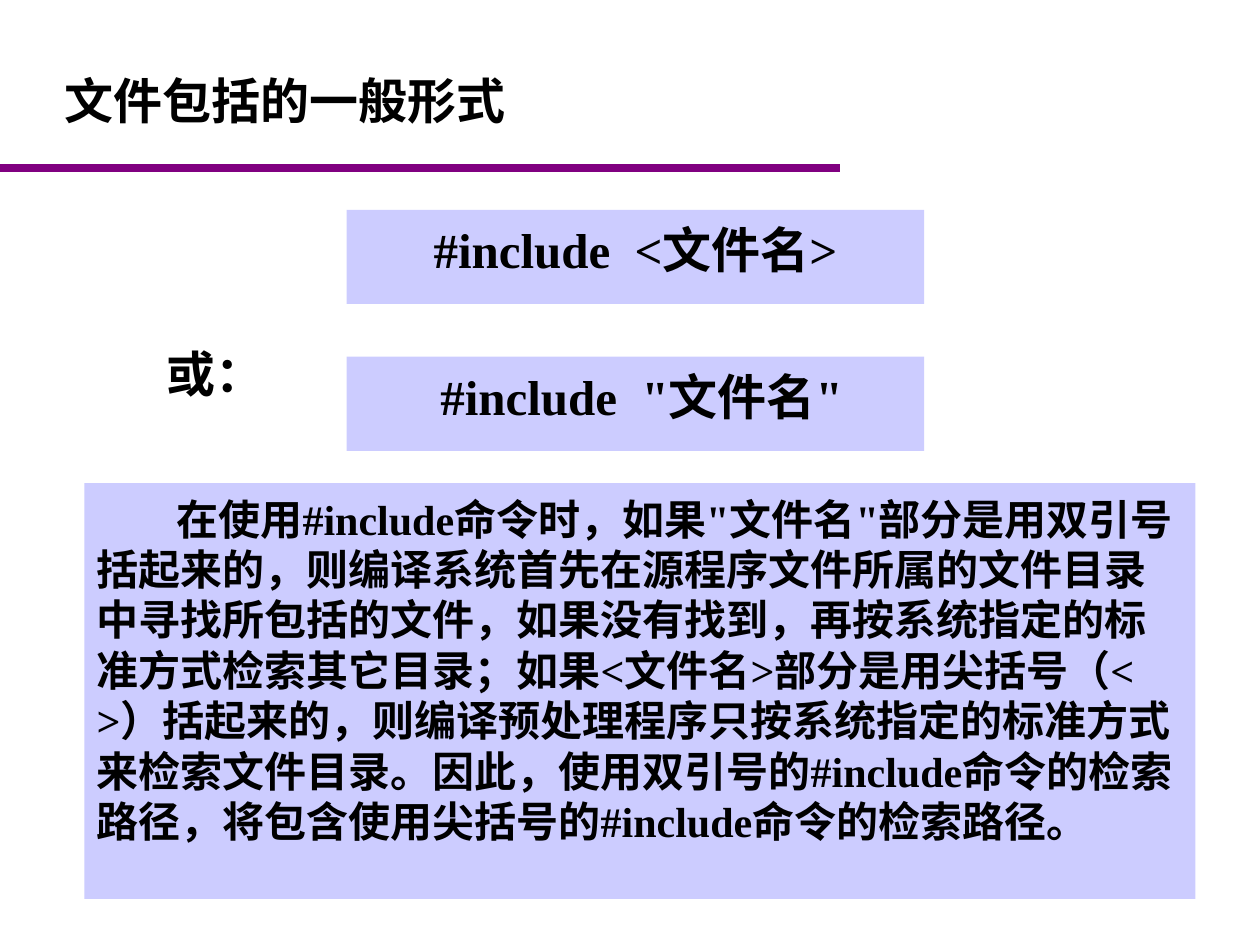
"""Build the slide on the general form of file inclusion."""
from lxml.etree import SubElement
from pptx import Presentation
from pptx.dml.color import RGBColor
from pptx.enum.shapes import MSO_CONNECTOR, MSO_SHAPE
from pptx.enum.text import MSO_ANCHOR, PP_ALIGN
from pptx.oxml.ns import qn
from pptx.util import Cm, Pt

BLACK = RGBColor(0x00, 0x00, 0x00)
LAVENDER = RGBColor(0xCC, 0xCC, 0xFF)
PURPLE = RGBColor(0x80, 0x00, 0x80)
LATIN_FONT = "Times New Roman"
CHINESE_FONT = "Noto Sans CJK SC"
LINE_PITCH = 1.2

TITLE = "文件包括的一般形式"
FORMS = ["#include  <文件名>", " #include  \"文件名\""]
OR_LABEL = "或："
EXPLANATION = (
    "在使用#include命令时，如果\"文件名\"部分是用双引号括起来的，"
    "则编译系统首先在源程序文件所属的文件目录中寻找所包括的文件，"
    "如果没有找到，再按系统指定的标准方式检索其它目录；"
    "如果<文件名>部分是用尖括号（< >）括起来的，"
    "则编译预处理程序只按系统指定的标准方式来检索文件目录。"
    "因此，使用双引号的#include命令的检索路径，"
    "将包含使用尖括号的#include命令的检索路径。"
)

FORM_LEFT, FORM_TOP, FORM_STEP = 6.99, 4.23, 2.96
FORM_WIDTH, FORM_HEIGHT = 11.64, 1.9


def add_text(slide, text, left, top, width, height, *, size=28, fill=None,
             align=PP_ALIGN.LEFT, anchor=MSO_ANCHOR.TOP, latin=LATIN_FONT,
             pitch=LINE_PITCH, margin_top=0.2, indent=0, wrap=True):
    """Place bold text in a plain box, or in a rectangle when a fill is given."""
    place = Cm(left), Cm(top), Cm(width), Cm(height)
    if fill is None:
        box = slide.shapes.add_textbox(*place)
    else:
        box = slide.shapes.add_shape(MSO_SHAPE.RECTANGLE, *place)
        box.shadow.inherit = False
        box.fill.solid()
        box.fill.fore_color.rgb = fill
        box.line.fill.background()
    frame = box.text_frame
    frame.word_wrap = wrap
    frame.vertical_anchor = anchor
    frame.margin_left = frame.margin_right = Cm(0.25)
    frame.margin_top, frame.margin_bottom = Cm(margin_top), Cm(0.13)
    paragraph = frame.paragraphs[0]
    paragraph.alignment = align
    if pitch:
        paragraph.line_spacing = Pt(size * pitch)
    if indent:
        paragraph._p.get_or_add_pPr().set("indent", str(Cm(indent)))
    run = paragraph.add_run()
    run.text = text
    run.font.size = Pt(size)
    run.font.bold = True
    run.font.name = latin
    run.font.color.rgb = BLACK
    SubElement(run.font._element, qn("a:ea"), typeface=CHINESE_FONT)


def add_rule(slide, top, width):
    """Draw the purple rule from the left edge under the title."""
    rule = slide.shapes.add_connector(
        MSO_CONNECTOR.STRAIGHT, Cm(0), Cm(top), Cm(width), Cm(top))
    rule.line.color.rgb = PURPLE
    rule.line.width = Pt(4.5)
    SubElement(rule._element.spPr, qn("a:effectLst"))


def main():
    """Lay out the slide and save it."""
    deck = Presentation()
    deck.slide_width, deck.slide_height = Cm(25.4), Cm(19.05)
    slide = deck.slides.add_slide(deck.slide_layouts[6])

    add_text(slide, TITLE, 1.06, 1.06, 13.12, 1.9, latin=CHINESE_FONT,
             anchor=MSO_ANCHOR.MIDDLE, pitch=None, margin_top=0.13)
    add_rule(slide, 3.39, 16.93)
    for row, form in enumerate(FORMS):
        add_text(slide, form, FORM_LEFT, FORM_TOP + row * FORM_STEP,
                 FORM_WIDTH, FORM_HEIGHT, fill=LAVENDER, align=PP_ALIGN.CENTER)
    add_text(slide, OR_LABEL, 3.1, 6.73, 2.46, 1.45, wrap=False)
    add_text(slide, EXPLANATION, 1.7, 9.74, 22.4, 8.38, size=24,
             fill=LAVENDER, indent=1.61)
    deck.save("out.pptx")


if __name__ == "__main__":
    main()
